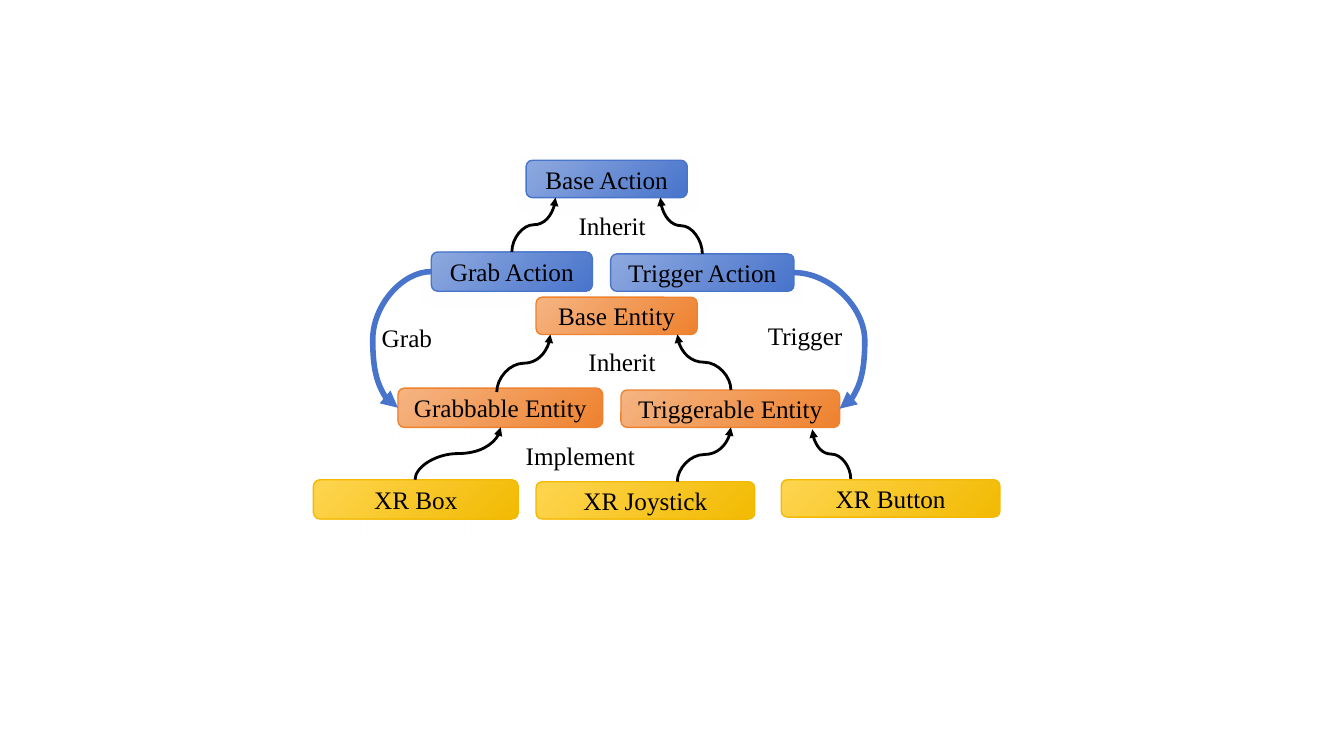
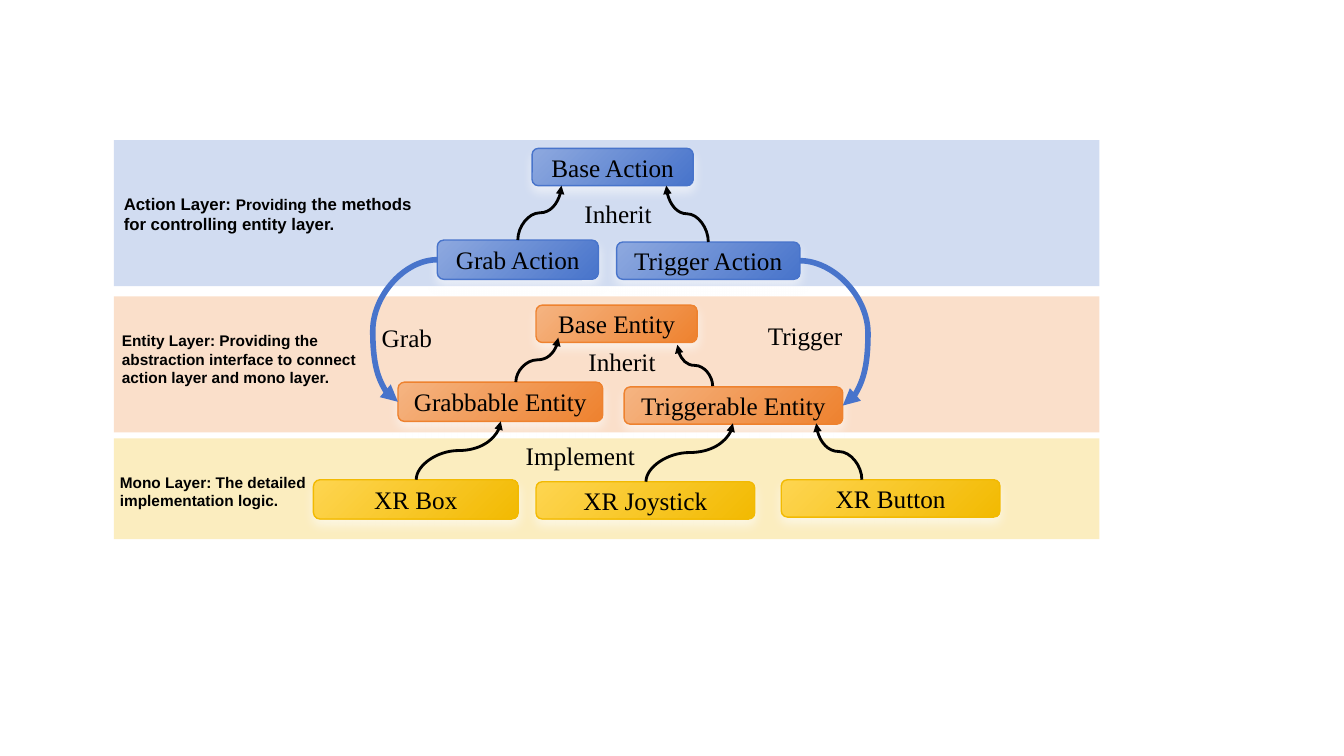
from pptx import Presentation
from pptx.dml.color import RGBColor
from pptx.enum import shapes, text
from pptx.oxml import parse_xml
from pptx.oxml.ns import nsdecls, qn
from pptx.util import Cm, Pt

NS = nsdecls("a")
BLACK = "000000"
SERIF = {"name": "Times New Roman", "size": Pt(18)}
NOTE = {"name": "Arial", "size": Pt(11), "bold": True}
LOOP_BULGE = 0.635  # how far a loop swings out past its target, in cm

# layer: light colour, strong colour
LAYERS = {
    "action": ("8EA9DF", "4874CB"),
    "entity": ("F5B482", "EE822F"),
    "mono": ("FED550", "F2BA02"),
}
STAY = (0, 0)
ACTION_SHIFT = (0.15, -0.3)

# text, layer, left, top, width, height, shift on the layered slide
BOXES = [
    ("Base Action", "action", 13.26, 4.04, 4.06, 0.94, ACTION_SHIFT),
    ("Grab Action", "action", 10.87, 6.35, 4.06, 0.99, ACTION_SHIFT),
    ("Trigger Action", "action", 15.39, 6.4, 4.62, 0.94, ACTION_SHIFT),
    ("Base Entity", "entity", 13.51, 7.49, 4.06, 0.94, (0, 0.2)),
    ("Grabbable Entity", "entity", 10.03, 9.78, 5.16, 0.99, (0, -0.15)),
    ("Triggerable Entity", "entity", 15.65, 9.83, 5.51, 0.94, (0.08, -0.08)),
    ("XR Box", "mono", 7.9, 12.09, 5.16, 0.99, STAY),
    ("XR Joystick", "mono", 13.51, 12.14, 5.51, 0.94, STAY),
    ("XR Button", "mono", 19.69, 12.09, 5.51, 0.94, STAY),
]
# text, left, top, width, shift on the layered slide
LABELS = [
    ("Inherit", 14.33, 5.18, 2.29, ACTION_SHIFT),
    ("Inherit", 14.58, 8.61, 2.29, STAY),
    ("Implement", 13, 10.97, 3.84, STAY),
    ("Grab", 9.37, 8, 2, STAY),
    ("Trigger", 19.1, 7.95, 2.41, STAY),
]
# start x, start y, end x, end y
ACTION_ARROWS = [(12.9, 6.35, 14, 4.98), (17.7, 6.4, 16.64, 4.98)]
PLAIN_ARROWS = [
    (12.52, 9.88, 13.87, 8.43),
    (18.42, 9.83, 17.07, 8.43),
    (10.46, 12.09, 12.62, 10.77),
    (21.44, 12.07, 20.47, 10.82),
    (17.07, 12.14, 18.42, 10.77),
]
LAYERED_ARROWS = [
    (13, 9.63, 14.07, 8.51),
    (17.96, 9.73, 17.07, 8.69),
    (10.49, 12.09, 12.62, 10.62),
    (21.72, 12.09, 20.57, 10.67),
    (16.28, 12.14, 18.47, 10.67),
]
# source box, target box, side joined (1 left, 3 right)
LOOPS = [("Grab Action", "Grabbable Entity", 1), ("Trigger Action", "Triggerable Entity", 3)]

# layer, top, height
BANDS = [("action", 3.53, 3.68), ("entity", 7.47, 3.43), ("mono", 11.05, 2.54)]
# left, top, width, height, paragraphs of (text, size) runs
NOTES = [
    (2.87, 4.75, 7.95, 1.27, [[("Action Layer: ", 12), ("Providing", 11),
                               (" the methods for controlling entity layer.", 12)]]),
    (2.82, 8.23, 7.14, 1.68, [[("Entity Layer: Providing the", 11)],
                              [("abstraction interface to connect", 11)],
                              [("action layer and mono layer.", 11)]]),
    (2.77, 11.79, 7.14, 1.19, [[("Mono Layer: The detailed implementation logic.", 11)]]),
]


def write(shape, paragraphs, font_format, alignment=text.PP_ALIGN.LEFT):
    """Fill a shape with paragraphs, each a list of (text, size) runs."""
    frame = shape.text_frame
    frame.word_wrap = True
    for index, runs in enumerate(paragraphs):
        paragraph = frame.add_paragraph() if index else frame.paragraphs[0]
        paragraph.alignment = alignment
        for words, size in runs:
            run = paragraph.add_run()
            run.text = words
            for name, value in {**font_format, "size": Pt(size)}.items():
                setattr(run.font, name, value)
            run.font.color.rgb = RGBColor.from_string(BLACK)


def add_curve(slide, start_x, start_y, end_x, end_y, color, width):
    """Add a curved arrow that leaves and arrives horizontally."""
    curve = slide.shapes.add_connector(
        shapes.MSO_CONNECTOR.CURVE, Cm(start_x), Cm(start_y), Cm(end_x), Cm(end_y))
    curve.line.color.rgb = RGBColor.from_string(color)
    curve.line.width = Pt(width)
    curve.line._get_or_add_ln().append(parse_xml(f'<a:tailEnd {NS} type="triangle"/>'))
    curve._element.spPr.append(parse_xml(f"<a:effectLst {NS}/>"))
    return curve


presentation = Presentation()
presentation.slide_width, presentation.slide_height = Cm(33.87), Cm(19.05)

for layered in (False, True):
    slide = presentation.slides.add_slide(presentation.slide_layouts[6])

    for layer, top, height in BANDS if layered else []:
        band = slide.shapes.add_shape(
            shapes.MSO_SHAPE.RECTANGLE, Cm(2.87), Cm(top), Cm(24.84), Cm(height))
        band.shadow.inherit = False
        band.fill.solid()
        band.fill.fore_color.rgb = RGBColor.from_string(LAYERS[layer][1])
        band._element.spPr.find(qn("a:solidFill"))[0].append(
            parse_xml(f'<a:alpha {NS} val="25000"/>'))
        band.line.fill.background()

    boxes = {}
    for words, layer, left, top, width, height, shift in BOXES:
        shift_x, shift_y = shift if layered else STAY
        box = slide.shapes.add_shape(
            shapes.MSO_SHAPE.ROUNDED_RECTANGLE,
            Cm(left + shift_x), Cm(top + shift_y), Cm(width), Cm(height))
        box.fill.gradient()
        box.fill.gradient_angle = 315
        for stop, color in zip(box.fill.gradient_stops, LAYERS[layer]):
            stop.color.rgb = RGBColor.from_string(color)
        box.line.color.rgb = RGBColor.from_string(LAYERS[layer][1])
        box.line.width = Pt(1)
        box.shadow.inherit = False
        box._element.spPr.find(qn("a:effectLst")).append(parse_xml(
            f'<a:outerShdw {NS} blurRad="{Pt(8)}" dist="{Pt(4)}" dir="5400000" algn="t" '
            'rotWithShape="0"><a:srgbClr val="FFFFFF"><a:alpha val="60000"/></a:srgbClr>'
            '</a:outerShdw>'))
        box.text_frame.vertical_anchor = text.MSO_ANCHOR.MIDDLE
        write(box, [[(words, 18)]], SERIF, text.PP_ALIGN.CENTER)
        boxes[words] = box

    for words, left, top, width, shift in LABELS:
        shift_x, shift_y = shift if layered else STAY
        label = slide.shapes.add_textbox(
            Cm(left + shift_x), Cm(top + shift_y), Cm(width), Cm(1.02))
        write(label, [[(words, 18)]], SERIF)

    shift_x, shift_y = ACTION_SHIFT if layered else STAY
    arrows = [(x1 + shift_x, y1 + shift_y, x2 + shift_x, y2 + shift_y)
              for x1, y1, x2, y2 in ACTION_ARROWS]
    for x1, y1, x2, y2 in arrows + (LAYERED_ARROWS if layered else PLAIN_ARROWS):
        # Drawn lying down about its centre, then turned upright
        center_x, center_y = (x1 + x2) / 2, (y1 + y2) / 2
        turn = 90 if x2 > x1 else 270
        reach = (y1 - y2) / 2 if turn == 90 else (y2 - y1) / 2
        half = abs(x2 - x1) / 2
        arrow = add_curve(slide, center_x + reach, center_y + half,
                          center_x - reach, center_y - half, BLACK, 2)
        arrow._element.spPr.find(qn("a:xfrm")).set("rot", str(turn * 60000))

    for source, target, side in LOOPS:
        loop = add_curve(slide, 0, 0, 1, 1, LAYERS["action"][1], 4)
        loop.begin_connect(boxes[source], side)
        loop.end_connect(boxes[target], side)
        bend = 1 + Cm(LOOP_BULGE) / abs(loop.end_x - loop.begin_x)
        geometry = loop._element.spPr.find(qn("a:prstGeom"))
        geometry.find(qn("a:avLst")).append(
            parse_xml(f'<a:gd {NS} name="adj1" fmla="val {round(bend * 100000)}"/>'))

    for left, top, width, height, paragraphs in NOTES if layered else []:
        note = slide.shapes.add_textbox(Cm(left), Cm(top), Cm(width), Cm(height))
        write(note, paragraphs, NOTE)

presentation.save("out.pptx")
